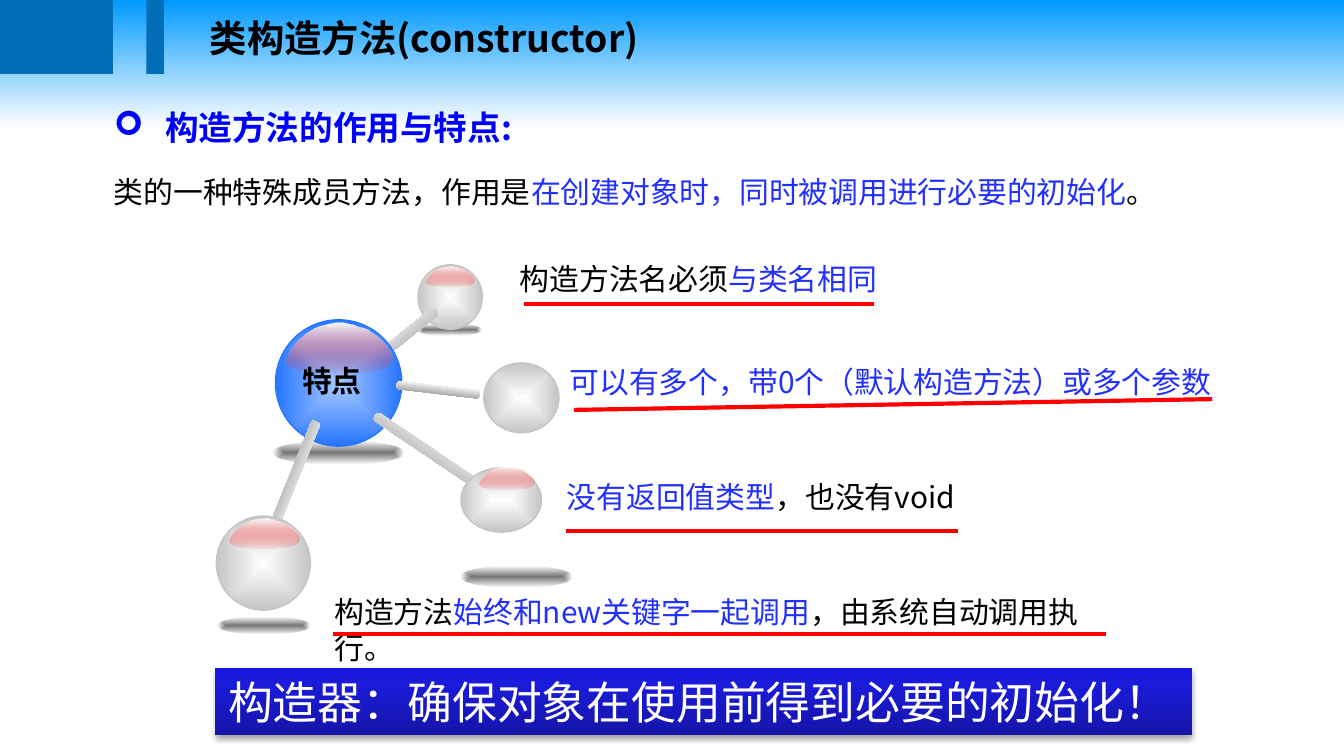
import pptx
import pptx.util
import pptx.dml.color
import pptx.enum.shapes
import pptx.enum.text
import pptx.oxml.ns
from lxml import etree

PX = 9144
SANS = "Noto Sans CJK SC"
BLACK, BLUE, RED = "000000", "2230FF", "FF0000"
qn = pptx.oxml.ns.qn
color = pptx.dml.color.RGBColor.from_string
kinds = pptx.enum.shapes.MSO_SHAPE


def paint(part, stops, angle=None):
    part.shadow.inherit = False
    part.line.fill.background()
    part.fill.gradient()
    gradient = part._element.spPr.find(qn("a:gradFill"))
    for child in list(gradient):
        gradient.remove(child)
    stop_list = etree.SubElement(gradient, qn("a:gsLst"))
    for position, tone, opacity in stops:
        stop = etree.SubElement(stop_list, qn("a:gs"), pos=str(position * 1000))
        tint = etree.SubElement(stop, qn("a:srgbClr"), val=tone)
        if opacity < 100:
            etree.SubElement(tint, qn("a:alpha"), val=str(opacity * 1000))
    if angle is None:
        radial = etree.SubElement(gradient, qn("a:path"), path="shape")
        etree.SubElement(radial, qn("a:fillToRect"), l="50000", t="50000", r="50000", b="50000")
    else:
        etree.SubElement(gradient, qn("a:lin"), ang=str(angle * 60000), scaled="1")


def write(frame, runs, size=16, bold=False, face=SANS, spacing=None):
    frame.word_wrap = True
    paragraph = frame.paragraphs[0]
    paragraph.alignment = pptx.enum.text.PP_ALIGN.LEFT
    paragraph.line_spacing = spacing
    paragraph.font.size = pptx.util.Pt(size)
    paragraph.font.bold = bold
    paragraph.font.name = face
    etree.SubElement(paragraph._p.pPr.find(qn("a:defRPr")), qn("a:ea"), typeface=face)
    for words, tone in runs:
        run = paragraph.add_run()
        run.text = words
        run.font.color.rgb = color(tone)


deck = pptx.Presentation()
deck.slide_width = 1000 * PX
deck.slide_height = deck.slide_width * 9 // 16
slide = deck.slides.add_slide(deck.slide_layouts[5])

backdrop = slide.background.fill
backdrop.gradient()
backdrop.gradient_angle = 270
for stop, (position, tone) in zip(backdrop.gradient_stops, [(0, "0099FF"), (0.17, "FFFFFF")]):
    stop.position = position
    stop.color.rgb = color(tone)

for left, width in [(0, 84), (109, 13)]:
    bar = slide.shapes.add_shape(kinds.RECTANGLE, left * PX, 0, width * PX, 55 * PX)
    bar.shadow.inherit = False
    bar.fill.solid()
    bar.fill.fore_color.rgb = color("036EB8")
    bar.line.fill.background()

title = slide.shapes.title
title.left, title.top, title.width, title.height = [v * PX for v in (146, 6, 440, 44)]
title.text_frame.auto_size = pptx.enum.text.MSO_AUTO_SIZE.NONE
title.text_frame.vertical_anchor = pptx.enum.text.MSO_ANCHOR.MIDDLE
write(title.text_frame, [("类构造方法(constructor)", BLACK)], 20, True)

summary = slide.shapes.add_textbox(75 * PX, 119 * PX, 890 * PX, 40 * PX)
write(summary.text_frame, [
    ("类的一种特殊成员方法，作用是", BLACK),
    ("在创建对象时，同时被调用进行必要的初始化", BLUE),
    ("。", BLACK),
], spacing=1.2)

heading = slide.shapes.add_textbox(75 * PX, 69 * PX, 346 * PX, 43 * PX)
indent = heading.text_frame.paragraphs[0]._p.get_or_add_pPr()
indent.set("marL", str(38 * PX))
indent.set("indent", str(-38 * PX))
etree.SubElement(indent, qn("a:buFont"), typeface="Wingdings")
etree.SubElement(indent, qn("a:buChar"), char="➢")
write(heading.text_frame, [("构造方法的作用与特点:", "0000FF")], 18, True, spacing=1.2)

GREY, AZURE = ("FFFFFF", "C5C5C5"), ("A8C8FF", "2676FF")
DOME = [(98, 57), (100, 68), (98, 78), (93, 86), (87, 91), (78, 95), (68, 98), (60, 100),
        (36, 100), (25, 98), (14, 95), (5, 88), (0, 78), (0, 70), (4, 52), (11, 34),
        (20, 19), (30, 8), (43, 2), (53, 0), (63, 4), (76, 13), (86, 28), (95, 46)]
spheres = [
    ((311, 241, 47, 9), (311, 197, 48, 48), (317, 198, 36, 15), GREY,
     (258, 251, 75, 7), 321, 0.38, 270),
    ((203, 328, 98, 18), (205, 238, 94, 94), (213, 240, 79, 39), AZURE,
     (181, 347, 79, 7), 292, 0.25, 90),
    ((162, 459, 69, 13), (161, 384, 70, 70), (171, 386, 52, 22), GREY,
     (271, 332, 94, 7), 214, 0.38, 90),
    ((343, 421, 83, 16), (343, 348, 60, 48), (357, 347, 41, 17), GREY,
     (295, 287, 62, 6), 186.7, 0.38, 90),
    (None, (360, 270, 56, 52), None, GREY, None, 0, 0, 0),
]
molecule = slide.shapes.add_group_shape().shapes
for shade_box, ball_box, gloss_box, (inner, outer), rod_box, turn, rounding, angle in spheres:
    if shade_box:
        shade = molecule.add_shape(kinds.OVAL, *[v * PX for v in shade_box])
        paint(shade, [(0, BLACK, 54), (97, BLACK, 0)])

    ball = molecule.add_shape(kinds.OVAL, *[v * PX for v in ball_box])
    paint(ball, [(0, inner, 100), (100, outer, 100)])
    ball.line.color.rgb = color(outer)
    ball.line.width = pptx.util.Pt(0.75)

    if gloss_box:
        left, top, width, height = [v * PX for v in gloss_box]
        outline = molecule.build_freeform(*DOME[0], scale=(width / 100, height / 100))
        outline.add_line_segments(DOME[1:], close=True)
        paint(outline.convert_to_shape(left, top), [(0, "FFFFFF", 100), (100, RED, 0)], 90)

    if rod_box:
        rod = molecule.add_shape(kinds.ROUNDED_RECTANGLE, *[v * PX for v in rod_box])
        rod.adjustments[0] = rounding
        rod.rotation = turn
        rod._element.spPr.xfrm.set("flipV", "1")
        paint(rod, [(1, "A9A9A9", 100), (31, "F9F9F9", 100), (100, "5F5F5F", 100)], angle)

labels = [
    (377, 189, 395, 10, False, [("构造方法名必须", BLACK), ("与类名相同", BLUE)]),
    (412, 351, 419, 10, False, [("没有返回值类型", BLUE), ("，也没有void", BLACK)]),
    (239, 437, 615, 35, False, [("构造方法", BLACK), ("始终和new关键字一起调用", BLUE),
                                ("，由系统自动调用执行。", BLACK)]),
    (215, 265, 79, 10, True, [("特点", BLACK)]),
    (414, 266, 535, 10, False, [("可以有多个，带0个（默认构造方法）或多个参数", BLUE)]),
]
for left, top, width, right_margin, bold, runs in labels:
    label = molecule.add_textbox(left * PX, top * PX, width * PX, 37 * PX)
    label.text_frame.margin_right = right_margin * PX
    write(label.text_frame, runs, bold=bold)

for ends in [(390, 226, 650, 226), (427, 305, 902, 297), (421, 395, 713, 395), (248, 472, 823, 472)]:
    underline = slide.shapes.add_connector(
        pptx.enum.shapes.MSO_CONNECTOR.STRAIGHT, *[v * PX for v in ends])
    underline.line.color.rgb = color(RED)
    underline.line.width = pptx.util.Pt(2.25)
    etree.SubElement(underline._element.spPr, qn("a:effectLst"))

conclusion = slide.shapes.add_shape(kinds.RECTANGLE, 160 * PX, 497 * PX, 727 * PX, 50 * PX)
paint(conclusion, [(0, "1515A9", 100), (80, "1B1BDC", 100), (100, "1818E1", 100)], 270)
glow = etree.SubElement(
    conclusion._element.spPr.find(qn("a:effectLst")), qn("a:outerShdw"),
    blurRad=str(pptx.util.Pt(3.1)), dist=str(pptx.util.Pt(1.8)), dir="5400000", rotWithShape="0")
etree.SubElement(etree.SubElement(glow, qn("a:srgbClr"), val=BLACK), qn("a:alpha"), val="35000")
write(conclusion.text_frame, [("构造器：确保对象在使用前得到必要的初始化！", "FFFFFF")], 24, face="Cabin")
conclusion.text_frame.word_wrap = False

deck.save("out.pptx")
